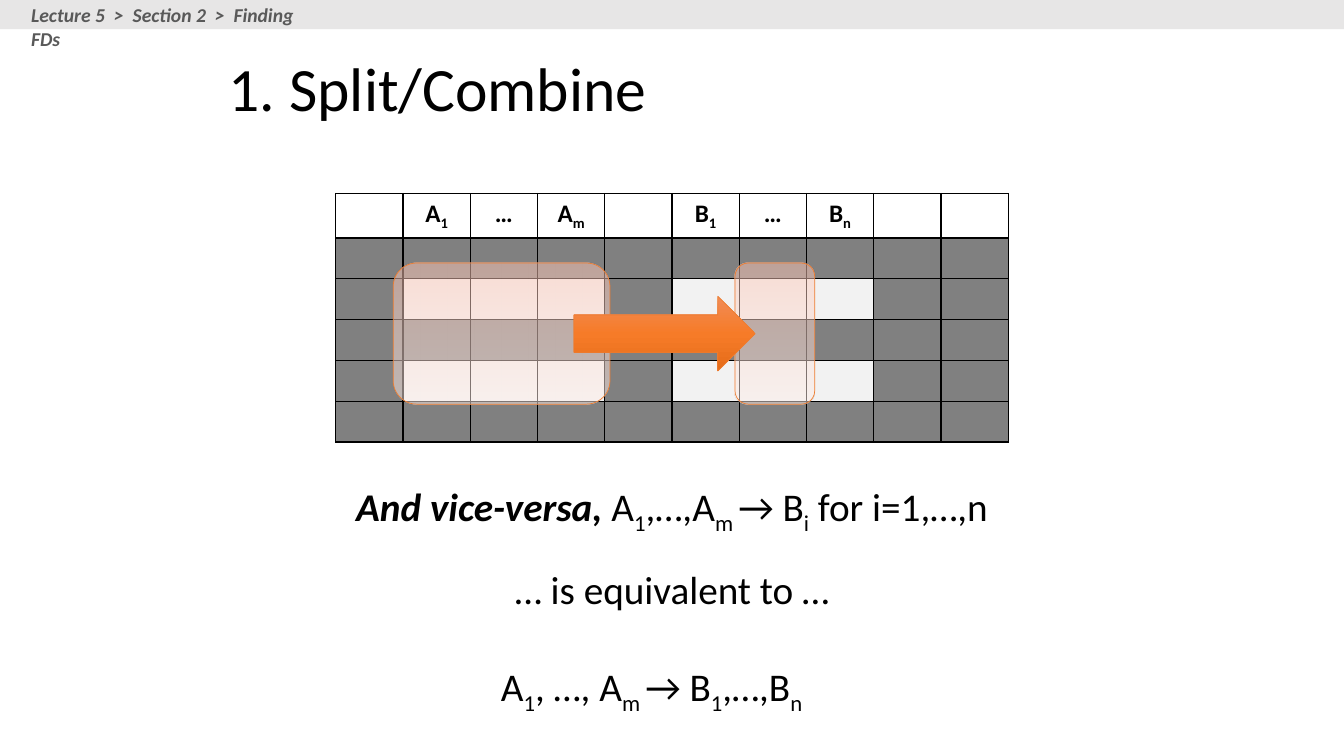
import dataclasses

import lxml.etree
import pptx
import pptx.dml.color
import pptx.enum.shapes
import pptx.enum.text
import pptx.oxml.ns
import pptx.util

Inches = pptx.util.Inches
Pt = pptx.util.Pt
qn = pptx.oxml.ns.qn
Align = pptx.enum.text.PP_ALIGN
Anchor = pptx.enum.text.MSO_ANCHOR
Shape = pptx.enum.shapes.MSO_SHAPE


@dataclasses.dataclass(frozen=True)
class Theme:
    """Colours, font and type sizes of the slide."""
    font: str = "Calibri"
    title_size: int = 44
    body_size: int = 28
    table_size: int = 18
    crumb_size: int = 14
    ink: str = "000000"
    crumb: str = "595959"
    bar: str = "E7E6E6"
    paper: str = "FFFFFF"
    hidden_cell: str = "808080"
    shown_cell: str = "F2F2F2"
    accent: str = "ED7D31"
    veil: tuple = ((0, "FFC7B6"), (35, "FFD7CB"), (100, "FFF0EB"))
    arrow: tuple = ((0, "F18C57"), (50, "F67B28"), (100, "E56C19"))


THEME = Theme()
HEADINGS = ["", "A|1", "…", "A|m", "", "B|1", "…", "B|n", "", ""]
SHOWN_COLUMNS = (1, 2, 3, 5, 6, 7)
SHOWN_ROWS = (2, 4)
ROW_COUNT = 6


def rgb(value):
    """Return a colour object for a hex string."""
    return pptx.dml.color.RGBColor.from_string(value)


def write(paragraph, text, size=THEME.body_size, color=THEME.ink,
          bold=False, italic=False, align=Align.LEFT):
    """Append text to a paragraph; every second part between bars is a subscript."""
    paragraph.alignment = align
    for index, part in enumerate(text.split("|")):
        run = paragraph.add_run()
        run.text = part
        font = run.font
        font.name, font.size = THEME.font, Pt(size)
        font.bold, font.italic = bold, italic
        font.color.rgb = rgb(color)
        if index % 2:
            run._r.get_or_add_rPr().set("baseline", "-25000")


def add_text_box(shapes, box, anchor=Anchor.TOP):
    """Add a wrapping text box and return its first paragraph."""
    frame = shapes.add_textbox(*map(Inches, box)).text_frame
    frame.word_wrap = True
    frame.vertical_anchor = anchor
    return frame.paragraphs[0]


def add_gradient_shape(slide, kind, box, stops, opacity=100):
    """Add an outlined preset shape shaded from top to bottom."""
    shape = slide.shapes.add_shape(kind, *map(Inches, box))
    shape.shadow.inherit = False
    shape.line.color.rgb = rgb(THEME.accent)
    shape.line.width = Pt(0.5)
    shape.fill.gradient()
    shape.fill.gradient_angle = 270
    stop_list = shape._element.spPr.find(qn("a:gradFill")).find(qn("a:gsLst"))
    for stop in list(stop_list):
        stop_list.remove(stop)
    for position, color in stops:
        stop = lxml.etree.SubElement(stop_list, qn("a:gs"), pos=str(position * 1000))
        tint = lxml.etree.SubElement(stop, qn("a:srgbClr"), val=color)
        if opacity < 100:
            lxml.etree.SubElement(tint, qn("a:alpha"), val=str(opacity * 1000))


def style_cell(cell, color):
    """Fill a cell and draw its four borders."""
    properties = cell._tc.get_or_add_tcPr()
    for side in ("a:lnL", "a:lnR", "a:lnT", "a:lnB"):
        border = lxml.etree.SubElement(properties, qn(side), w=str(Pt(1)))
        fill = lxml.etree.SubElement(border, qn("a:solidFill"))
        lxml.etree.SubElement(fill, qn("a:srgbClr"), val=THEME.ink)
    cell.fill.solid()
    cell.fill.fore_color.rgb = rgb(color)


def add_title(slide, box):
    """Place the slide title in its box."""
    paragraph = add_text_box(slide.shapes, box, Anchor.MIDDLE)
    paragraph.line_spacing = 0.9
    write(paragraph, "1. Split/Combine", size=THEME.title_size)


def add_relation(slide, box):
    """Place the attribute table, the two highlights and the arrow."""
    left, top, width, height = box
    table = slide.shapes.add_table(ROW_COUNT, len(HEADINGS), *map(Inches, box)).table
    table.first_row = table.horz_banding = False
    for column in table.columns:
        column.width = Inches(width / len(HEADINGS))
    for row_index, row in enumerate(table.rows):
        row.height = Inches(height / ROW_COUNT)
        for column_index, cell in enumerate(row.cells):
            shown = row_index in SHOWN_ROWS and column_index in SHOWN_COLUMNS
            body_color = THEME.shown_cell if shown else THEME.hidden_cell
            style_cell(cell, body_color if row_index else THEME.paper)
            if row_index == 0 and HEADINGS[column_index]:
                write(cell.text_frame.paragraphs[0], HEADINGS[column_index],
                      size=THEME.table_size, bold=True, align=Align.CENTER)
    for offset, veil_width in ((0.57, 2.15), (3.96, 0.79)):
        add_gradient_shape(slide, Shape.ROUNDED_RECTANGLE,
                           (left + offset, top + 0.69, veil_width, 1.4),
                           THEME.veil, opacity=50)
    add_gradient_shape(slide, Shape.RIGHT_ARROW,
                       (left + 2.36, top + 1.02, 1.8, 0.74), THEME.arrow)


def add_rule(slide, box):
    """Place the three lines that state the rule."""
    left, top, width, line_height = box
    vice_versa = add_text_box(slide.shapes, box)
    write(vice_versa, "And vice-versa, ", bold=True, italic=True, align=Align.CENTER)
    write(vice_versa, "A|1|,…,A|m |→ B|i| for i=1,…,n", align=Align.CENTER)
    equivalent = add_text_box(slide.shapes, (left, top + 0.82, width, line_height))
    write(equivalent, "… is equivalent to …", align=Align.CENTER)
    combined = add_text_box(slide.shapes, (left + 1.54, top + 1.78, 4.17, line_height))
    write(combined, "A|1|, …, A|m |→ B|1|,…,B|n")


def add_breadcrumb(slide, box):
    """Place the grey bar and the lecture path as one group."""
    left, top = box[:2]
    group = slide.shapes.add_group_shape()
    bar = group.shapes.add_shape(Shape.RECTANGLE, *map(Inches, box))
    bar.shadow.inherit = False
    bar.fill.solid()
    bar.fill.fore_color.rgb = rgb(THEME.bar)
    bar.line.fill.background()
    paragraph = add_text_box(group.shapes, (left + 0.21, top - 0.02, 3.1, 0.34))
    write(paragraph, "Lecture 5  >  Section 2  >  Finding FDs",
          size=THEME.crumb_size, color=THEME.crumb, bold=True, italic=True)


def main():
    """Build the slide and save it."""
    presentation = pptx.Presentation()
    presentation.slide_width = Inches(13.33)
    presentation.slide_height = Inches(7.5)
    slide = presentation.slides.add_slide(presentation.slide_layouts[6])
    add_title(slide, (2.17, 0.28, 9, 1.25))
    add_relation(slide, (3.33, 1.92, 6.67, 2.43))
    add_rule(slide, (3.33, 4.74, 6.67, 0.57))
    add_breadcrumb(slide, (0, 0, 13.33, 0.29))
    presentation.save("out.pptx")


if __name__ == "__main__":
    main()
